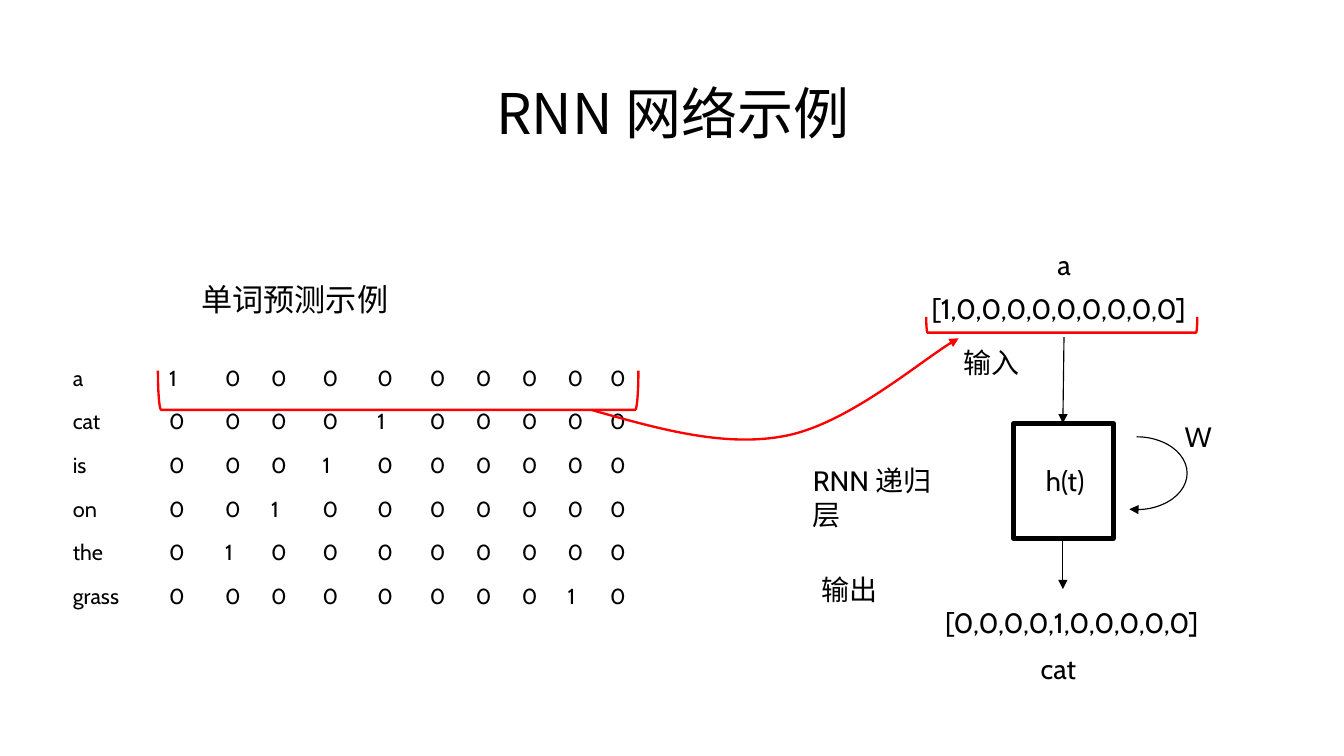
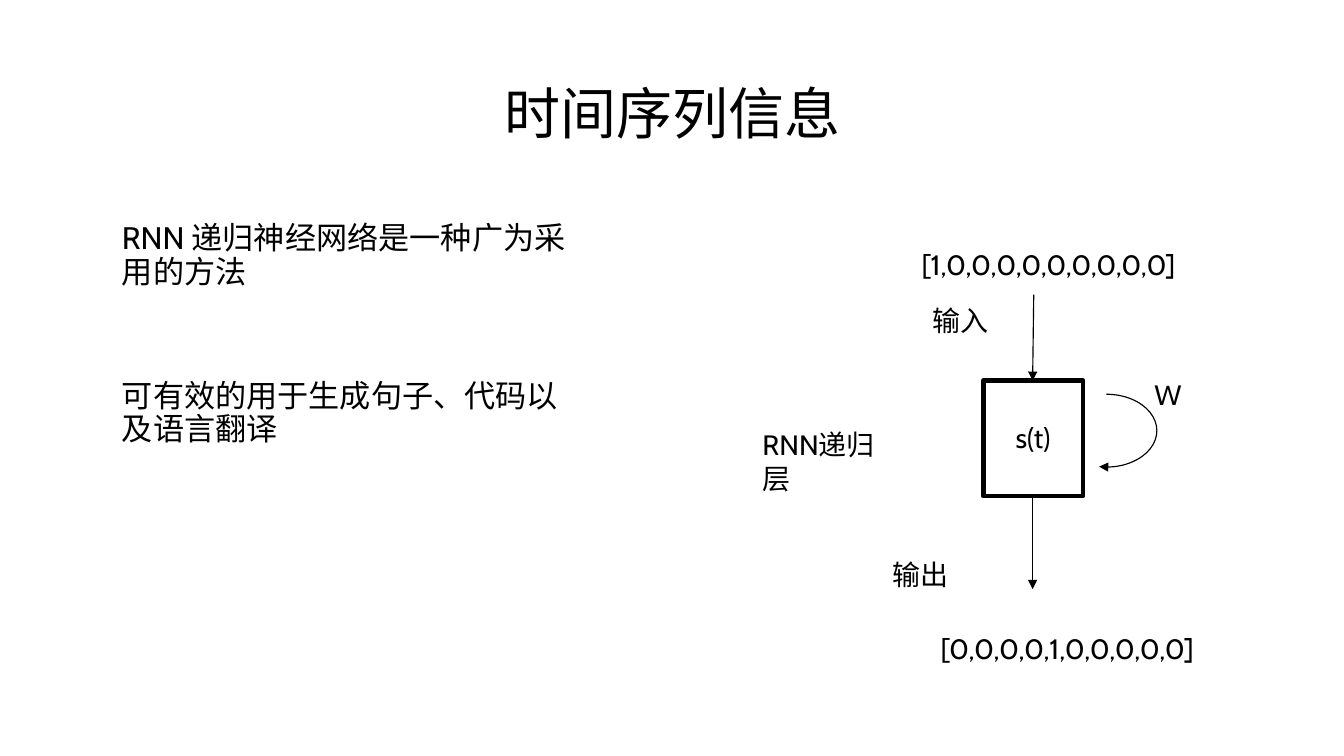
from dataclasses import dataclass

from lxml import etree
from pptx import Presentation
from pptx import util as u
from pptx.dml.color import RGBColor
from pptx.enum import shapes, text
from pptx.oxml.ns import qn


@dataclass(frozen=True)
class Theme:
    """Colours, fonts and type sizes shared by both slides."""
    ink: str = "000000"
    accent: str = "FF0000"
    grid: str = "FFFFFF"
    font: str = "Cabin"
    cjk: str = "Noto Sans CJK SC"
    label_alt: str = "Arial"
    title: int = 36
    body: int = 20
    label: int = 18
    cell: int = 14
    thin: float = 0.75
    curve: float = 1.5
    thick: float = 3


T = Theme()
WORDS = ["a", "cat", "is", "on", "the", "grass"]
HOT = [0, 4, 3, 2, 1, 8]
COLUMNS = [0.86, 0.5, 0.41, 0.46, 0.49, 0.47, 0.41, 0.41, 0.41, 0.38, 0.53]
ROW_HEIGHT = 0.39


def one_hot(index):
    """Return ten digits with a single 1 at index."""
    return ["1" if i == index else "0" for i in range(10)]


def vector(index):
    """Return a one-hot vector as bracketed text."""
    return f"[{','.join(one_hot(index))}]"


def style(p, size, font=T.font):
    """Set the Latin and East Asian font, size and colour of a paragraph."""
    f = p.font
    f.size, f.name = u.Pt(size), font
    f.color.rgb = RGBColor.from_string(T.ink)
    etree.SubElement(p._p.pPr.find(qn("a:defRPr")), qn("a:ea"), typeface=T.cjk)


def textbox(s, box, content, size, font=T.font, align=None, spacing=None,
            anchor=text.MSO_ANCHOR.TOP, gap=0, after=0, grow=False):
    """Add a text box whose paragraphs are the lines of content."""
    tf = s.shapes.add_textbox(*map(u.Inches, box)).text_frame
    tf.word_wrap, tf.vertical_anchor = True, anchor
    if grow:
        tf.auto_size = text.MSO_AUTO_SIZE.SHAPE_TO_FIT_TEXT
    tf.text = content
    for i, p in enumerate(tf.paragraphs):
        p.alignment, p.line_spacing = align, spacing
        if i:
            p.space_before = u.Pt(gap)
        if after:
            p.space_after = u.Pt(after)
        style(p, size, font)


def title(s, content):
    """Add the centred slide title."""
    textbox(s, (0.55, 0.71, 10.91, 0.65), content, T.title, T.cjk,
            text.PP_ALIGN.CENTER, 0.9, text.MSO_ANCHOR.BOTTOM)


def body(s, box, content):
    """Add running text, with a wide gap between paragraphs."""
    textbox(s, box, content, T.body, spacing=0.9, gap=49, after=9)


def label(s, x, y, w, content, font=T.font):
    """Add a left-aligned diagram label."""
    textbox(s, (x, y, w, 0.4), content, T.label, font, grow=True)


def word(s, x, y, w, content):
    """Add a centred word beside a vector."""
    textbox(s, (x, y, w, 0.37), content, T.label, align=text.PP_ALIGN.CENTER,
            spacing=0.9, anchor=text.MSO_ANCHOR.MIDDLE, grow=True)


def stroke(sp, color, width, arrow=False):
    """Set the line of a shape or connector, with an optional arrowhead."""
    sp.line.color.rgb = RGBColor.from_string(color)
    sp.line.width = u.Pt(width)
    if arrow:
        etree.SubElement(sp.element.spPr.find(qn("a:ln")), qn("a:tailEnd"), type="triangle")


def outline(s, kind, box, color, width, arrow=False):
    """Add an unfilled preset shape."""
    sp = s.shapes.add_shape(kind, *map(u.Inches, box))
    sp.shadow.inherit = False
    sp.fill.background()
    stroke(sp, color, width, arrow)
    return sp


def arrow(s, x1, y1, x2, y2):
    """Add a thin straight arrow."""
    c = s.shapes.add_connector(shapes.MSO_CONNECTOR.STRAIGHT, *map(u.Inches, (x1, y1, x2, y2)))
    stroke(c, T.ink, T.thin, True)
    etree.SubElement(c.element.spPr, qn("a:effectLst"))


def bracket(s, box):
    """Add a red bracket that opens upwards."""
    outline(s, shapes.MSO_SHAPE.LEFT_BRACKET, box, T.accent, T.curve).rotation = 270


def curved_arrow(s, points, height):
    """Add a red arrow along cubic curves; height is that of the drawn curve."""
    start, *rest = [tuple(map(u.Inches, pt)) for pt in points]
    fb = s.shapes.build_freeform(*start)
    fb.add_line_segments(rest, close=False)
    sp = fb.convert_to_shape()
    sp.shadow.inherit = False
    sp.fill.background()
    stroke(sp, T.accent, T.curve, True)
    sp.height = u.Inches(height)
    outline_el = next(sp.element.iter(qn("a:path")))
    outline_el.set("h", str(sp.height))
    lines = outline_el.findall(qn("a:lnTo"))
    for i in range(0, len(lines), 3):
        curve = etree.SubElement(outline_el, qn("a:cubicBezTo"))
        for line in lines[i:i + 3]:
            curve.append(line[0])
            outline_el.remove(line)


def borders(cell, bottom):
    """Give a cell white borders, with its own bottom width."""
    tc_pr = cell._tc.get_or_add_tcPr()
    for i, (side, width) in enumerate(zip("LRTB", (1, 1, 1, bottom))):
        ln = etree.Element(qn(f"a:ln{side}"), w=str(u.Pt(width)))
        fill = etree.SubElement(ln, qn("a:solidFill"))
        etree.SubElement(fill, qn("a:srgbClr"), val=T.grid)
        tc_pr.insert(i, ln)


def word_table(s, x, y):
    """Add the table of words and their one-hot codes."""
    size = (sum(COLUMNS), ROW_HEIGHT * len(WORDS))
    frame = s.shapes.add_table(len(WORDS), len(COLUMNS), *map(u.Inches, (x, y, *size)))
    table = frame.table
    table.first_row = table.horz_banding = False
    for column, width in zip(table.columns, COLUMNS):
        column.width = u.Inches(width)
    for i, (name, hot) in enumerate(zip(WORDS, HOT)):
        table.rows[i].height = u.Inches(ROW_HEIGHT)
        for j, value in enumerate([name, *one_hot(hot)]):
            cell = table.cell(i, j)
            cell.text = value
            cell.fill.background()
            style(cell.text_frame.paragraphs[0], T.cell)
            borders(cell, 3 if i == 0 and j != 1 else 1)


def rnn_cell(s, x, y, state, out_length, input_font=T.font):
    """Add the recurrent cell with its arrows, loop and inner labels."""
    w, h = 0.89, 1.03
    mid = x + 0.44
    outline(s, shapes.MSO_SHAPE.RECTANGLE, (x, y, w, h), T.ink, T.thick)
    arrow(s, mid + 0.01, y - 0.77, mid, y)
    arrow(s, mid, y + h, mid, y + h + out_length)
    loop = outline(s, shapes.MSO_SHAPE.ARC, (x + 0.65, y + 0.12, 0.9, 0.65), T.ink, T.thin, True)
    loop.adjustments[0], loop.adjustments[1] = 162, 60.98
    label(s, x - 0.55, y - 0.74, 0.71, "输入", input_font)
    label(s, x + 1.43, y - 0.08, 0.43, "W")
    label(s, x + 0.19, y + 0.31, 0.63, state)


def example_slide(s):
    """Build the word prediction example."""
    title(s, "RNN 网络示例")
    rnn_cell(s, 9.05, 3.78, "h(t)", 0.45, T.label_alt)
    label(s, 7.24, 5.06, 0.71, "输出")
    label(s, 7.16, 4.09, 1.5, "RNN 递归层")
    label(s, 8.22, 2.55, 2.56, vector(0))
    label(s, 8.34, 5.36, 2.56, vector(4))
    word_table(s, 0.55, 3.21)
    bracket(s, (3.38, 1.34, 0.35, 4.29))
    bracket(s, (9.41, 1.69, 0.14, 2.42))
    body(s, (1.7, 2.49, 4.3, 0.5), "单词预测示例")
    curved_arrow(s, [(5.28, 3.66), (5.88, 3.83), (6.48, 4), (7.02, 3.89),
                     (7.57, 3.78), (8.28, 3.17), (8.56, 3.02)], 0.91)
    word(s, 9.33, 2.19, 0.34, "a")
    word(s, 9.17, 5.8, 0.56, "cat")


def sequence_slide(s):
    """Build the time series slide."""
    title(s, "时间序列信息")
    body(s, (0.99, 1.94, 4.3, 4.28),
         "RNN 递归神经网络是一种广为采用的方法\n可有效的用于生成句子、代码以及语言翻译")
    rnn_cell(s, 8.78, 3.4, "s(t)", 0.83)
    label(s, 7.87, 4.93, 0.71, "输出")
    label(s, 6.71, 3.77, 1.43, "RNN递归层")
    label(s, 8.13, 2.16, 2.56, vector(0))
    label(s, 8.3, 5.59, 2.56, vector(4))


def main():
    """Build and save the presentation."""
    prs = Presentation()
    prs.slide_width, prs.slide_height = u.Inches(12), u.Inches(6.75)
    for build in (example_slide, sequence_slide):
        build(prs.slides.add_slide(prs.slide_layouts[6]))
    prs.save("out.pptx")


if __name__ == "__main__":
    main()
